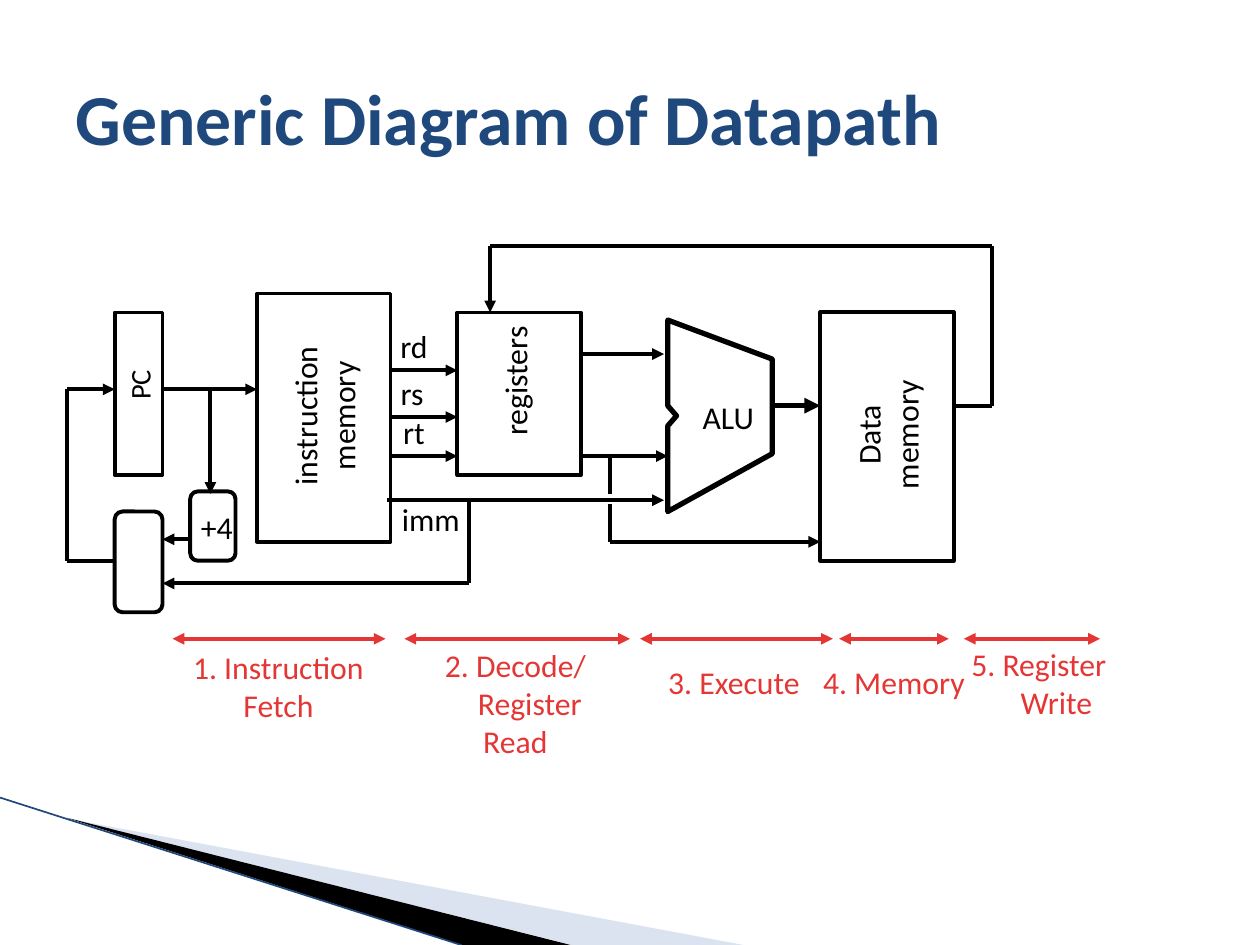
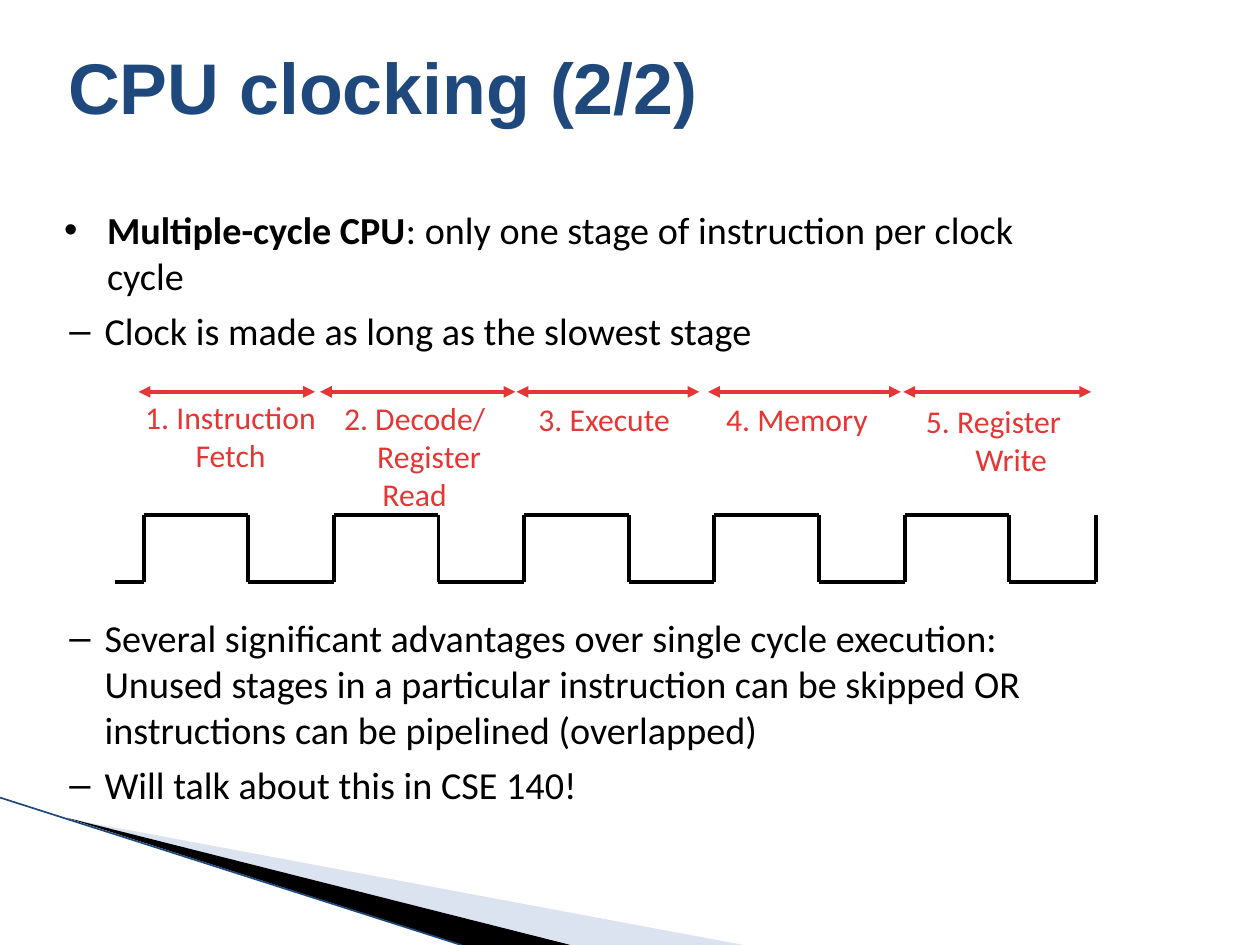
from lxml.etree import SubElement
from pptx import Presentation
from pptx.dml.color import RGBColor
from pptx.enum.shapes import MSO_CONNECTOR, MSO_SHAPE
from pptx.enum.text import MSO_ANCHOR, MSO_AUTO_SIZE, PP_ALIGN
from pptx.oxml.ns import qn
from pptx.util import Inches, Pt

BLACK = RGBColor(0, 0, 0)
WHITE = RGBColor(255, 255, 255)
NAVY = RGBColor(0x1F, 0x49, 0x7D)
PALE = RGBColor(0xA7, 0xB9, 0xDB)
RED = RGBColor(0xE4, 0x36, 0x34)

FONT = "Calibri"
SMALL = 18.1
ROW = 0.31  # height of one label line

# Each stage: label width, then (text, extra left indent) per line
STAGES = [
    (1.56, [("1. Instruction", 0), ("Fetch", 0)]),
    (1.32, [("2. Decode/", 0), ("Register", 0.23), ("Read", 0)]),
    (1.25, [("3. Execute", 0)]),
    (1.33, [("4. Memory", 0)]),
    (1.27, [("5. Register", 0), ("Write", 0.28)]),
]


def add_run(para, text, size, color=BLACK, bold=False, font=FONT):
    run = para.add_run()
    run.text = text
    run.font.name = font
    run.font.size = Pt(size)
    run.font.bold = bold
    run.font.color.rgb = color


def set_inset(frame, gap):
    frame.margin_left = frame.margin_right = Inches(gap)
    frame.margin_top = frame.margin_bottom = Inches(gap)


def set_indent(para, left, first=0):
    props = para._p.get_or_add_pPr()
    props.set("marL", str(Inches(left)))
    props.set("indent", str(Inches(first)))
    return props


def add_title(slide, text, font=FONT, anchor=MSO_ANCHOR.MIDDLE, inset=0.1):
    title = slide.shapes.title
    title.left, title.top = Inches(0.5), Inches(0.3)
    title.width, title.height = Inches(9), Inches(1.25)
    frame = title.text_frame
    frame.auto_size = MSO_AUTO_SIZE.NONE
    frame.vertical_anchor = anchor
    set_inset(frame, inset)
    para = frame.paragraphs[0]
    para.alignment = PP_ALIGN.LEFT
    add_run(para, text, 41, NAVY, True, font)


def add_line(slide, start, end, color=BLACK, width=2.25, head=False, tail=False):
    ends = [Inches(v) for v in (*start, *end)]
    line = slide.shapes.add_connector(MSO_CONNECTOR.STRAIGHT, *ends)
    line.line.color.rgb = color
    line.line.width = Pt(width)
    stroke = line.line._get_or_add_ln()
    for tag, shown in (("a:headEnd", head), ("a:tailEnd", tail)):
        if shown:
            SubElement(stroke, qn(tag)).set("type", "triangle")
    SubElement(line._element.spPr, qn("a:effectLst"))


def add_wire(slide, *points, arrow=True, width=2.25):
    """Join the points with straight lines, the last one with an arrowhead."""
    last = len(points) - 2
    for i, (start, end) in enumerate(zip(points, points[1:])):
        add_line(slide, start, end, width=width, tail=arrow and i == last)


def add_box(slide, left, top, width, height, kind=MSO_SHAPE.RECTANGLE):
    box = slide.shapes.add_shape(
        kind, Inches(left), Inches(top), Inches(width), Inches(height))
    box.shadow.inherit = False
    box.fill.solid()
    box.fill.fore_color.rgb = WHITE
    box.line.color.rgb = BLACK
    box.line.width = Pt(2.25)


def add_outline(slide, points, closed=True):
    first, *rest = [(Inches(x), Inches(y)) for x, y in points]
    maker = slide.shapes.build_freeform(*first)
    maker.add_line_segments(rest, close=closed)
    form = maker.convert_to_shape()
    form.shadow.inherit = False
    return form


def add_label(slide, left, top, width, lines, color=BLACK, size=SMALL, turn=0):
    """Add centred lines, each given as (text, extra left indent)."""
    height = 0.1 + ROW * len(lines)
    box = slide.shapes.add_textbox(
        Inches(left), Inches(top), Inches(width), Inches(height))
    box.rotation = turn
    frame = box.text_frame
    frame.word_wrap = False
    frame.vertical_anchor = MSO_ANCHOR.MIDDLE
    set_inset(frame, 0.05)
    for i, (text, shift) in enumerate(lines):
        para = frame.add_paragraph() if i else frame.paragraphs[0]
        para.alignment = PP_ALIGN.CENTER
        set_indent(para, 0.04 + shift)
        add_run(para, text, size, color)


def add_stages(slide, level, places):
    """Add the stage arrows; places holds label left, top, arrow from, to."""
    for (width, lines), (left, top, start, end) in zip(STAGES, places):
        add_label(slide, left, top, width, lines, RED)
        add_line(slide, (start, level), (end, level), RED, head=True, tail=True)


def add_bullets(slide, top, height, items):
    """Add a list of (mark, left, hanging, space before, runs)."""
    box = slide.shapes.add_textbox(
        Inches(0.46), Inches(top), Inches(8.17), Inches(height))
    frame = box.text_frame
    frame.word_wrap = True
    set_inset(frame, 0.05)
    for i, (mark, left, hang, space, runs) in enumerate(items):
        para = frame.add_paragraph() if i else frame.paragraphs[0]
        para.space_before = Pt(space)
        props = set_indent(para, left, -hang)
        SubElement(props, qn("a:buFont")).set("typeface", "Arial")
        SubElement(props, qn("a:buChar")).set("char", mark)
        for text, bold in runs:
            add_run(para, text, 21.8, bold=bold)


def dash(text):
    return "–", 0.32, 0.28, 5.5, [(text, False)]


def add_swoosh(slide):
    pale = add_outline(slide, [(0.55, 6.5), (5.9, 7.5), (4.54, 7.5)])
    dark = add_outline(slide, [(0.53, 6.49), (4.53, 7.5), (3.67, 7.5)])
    for form, color in ((pale, PALE), (dark, BLACK)):
        form.fill.solid()
        form.fill.fore_color.rgb = color
        form.line.fill.background()
    tint = pale._element.spPr.find(".//" + qn("a:srgbClr"))
    SubElement(tint, qn("a:alpha")).set("val", "40000")
    add_line(slide, (0, 6.33), (3.66, 7.5), NAVY, 0.95)


def new_slide(deck):
    slide = deck.slides.add_slide(deck.slide_layouts[5])
    add_swoosh(slide)
    return slide


def add_units(slide):
    add_box(slide, 0.91, 2.48, 0.38, 1.29)
    add_box(slide, 2.04, 2.33, 1.06, 1.97)
    add_box(slide, 3.63, 2.48, 0.98, 1.29)
    add_box(slide, 6.51, 2.48, 1.06, 1.97)
    add_box(slide, 1.51, 3.9, 0.36, 0.55, MSO_SHAPE.ROUNDED_RECTANGLE)
    add_box(slide, 0.91, 4.06, 0.38, 0.8, MSO_SHAPE.ROUNDED_RECTANGLE)
    alu = add_outline(slide, [
        (5.3, 2.54), (6.13, 2.85), (6.13, 3.6), (5.3, 4.06),
        (5.3, 3.38), (5.37, 3.3), (5.3, 3.22)])
    alu.fill.background()
    alu.line.color.rgb = BLACK
    alu.line.width = Pt(3)


def add_wires(slide):
    add_wire(slide, (1.29, 3.09), (2.04, 3.09))
    for y in (2.94, 3.31, 3.62):
        add_wire(slide, (3.1, y), (3.63, y))
    add_wire(slide, (4.62, 2.81), (5.27, 2.81))
    add_wire(slide, (4.62, 3.62), (5.3, 3.62))
    add_wire(slide, (3.07, 3.97), (5.27, 3.97))
    add_wire(slide, (6.13, 3.22), (6.51, 3.22), width=3)
    add_wire(slide, (4.84, 3.62), (4.84, 3.92), arrow=False)
    add_wire(slide, (4.84, 4), (4.84, 4.3), (6.51, 4.3))
    add_wire(slide, (7.57, 3.22), (7.87, 3.22), (7.87, 1.95),
             (3.89, 1.95), (3.89, 2.48))
    add_wire(slide, (1.67, 3.09), (1.67, 3.92))
    add_wire(slide, (1.51, 4.28), (1.29, 4.28))
    add_wire(slide, (3.72, 3.97), (3.72, 4.63), (1.29, 4.63))
    add_wire(slide, (0.91, 4.45), (0.53, 4.45), (0.53, 3.09), (0.91, 3.09))


def add_names(slide):
    for text, left, top, width in (
            ("+4", 1.48, 3.98, 0.44), ("rd", 3.06, 2.54, 0.41),
            ("rs", 3.06, 2.91, 0.38), ("rt", 3.08, 3.22, 0.37),
            ("imm", 3.07, 3.91, 0.66), ("ALU", 5.46, 3.1, 0.6)):
        add_label(slide, left, top, width, [(text, 0)])
    add_label(slide, 0.89, 2.87, 0.43, [("PC", 0)], size=16.3, turn=270)
    for words, left, top, width in (
            (("instruction", "memory"), 1.92, 2.96, 1.3),
            (("registers",), 3.55, 2.84, 1.07),
            (("Data", "memory"), 6.51, 3.11, 1.06)):
        add_label(slide, left, top, width, [(word, 0) for word in words], turn=270)


def add_clock(slide):
    low, high = 4.62, 4.09
    points = [(0.91, low)]
    for i in range(len(STAGES)):
        rise = 1.14 + 1.51 * i
        fall = rise + 0.83
        points += [(rise, low), (rise, high), (fall, high), (fall, low)]
    points += [(8.7, low), (8.7, high)]
    add_wire(slide, *points, arrow=False)


def draw_path(deck):
    slide = new_slide(deck)
    add_title(slide, "Generic Diagram of Datapath")
    add_units(slide)
    add_wires(slide)
    add_names(slide)
    add_stages(slide, 5.07, [
        (1.41, 5.08, 1.37, 3.06), (3.41, 5.06, 3.21, 5),
        (5.18, 5.21, 5.08, 6.61), (6.41, 5.21, 6.66, 7.53),
        (7.59, 5.06, 7.65, 8.73)])


def draw_clock(deck):
    slide = new_slide(deck)
    add_title(slide, "CPU clocking (2/2)", "Arial", MSO_ANCHOR.TOP, 0.04)
    add_bullets(slide, 1.59, 1.35, [
        ("•", 0.34, 0.34, 6.3, [
            ("Multiple-cycle CPU", True),
            (": only one stage of instruction per clock cycle", False)]),
        dash("Clock is made as long as the slowest stage")])
    add_bullets(slide, 4.83, 1.75, [
        dash("Several significant advantages over single cycle execution: "
             "Unused stages in a particular instruction can be skipped OR "
             "instructions can be pipelined (overlapped)"),
        dash("Will talk about this in CSE 140!")])
    add_stages(slide, 3.11, [
        (1.03, 3.1, 1.1, 2.5), (2.61, 3.1, 2.54, 4.09),
        (4.15, 3.12, 4.1, 5.55), (5.64, 3.12, 5.62, 7.15),
        (7.23, 3.13, 7.17, 8.66)])
    add_clock(slide)


def main():
    deck = Presentation()
    deck.slide_width, deck.slide_height = Inches(10), Inches(7.5)
    draw_path(deck)
    draw_clock(deck)
    deck.save("out.pptx")


if __name__ == "__main__":
    main()
